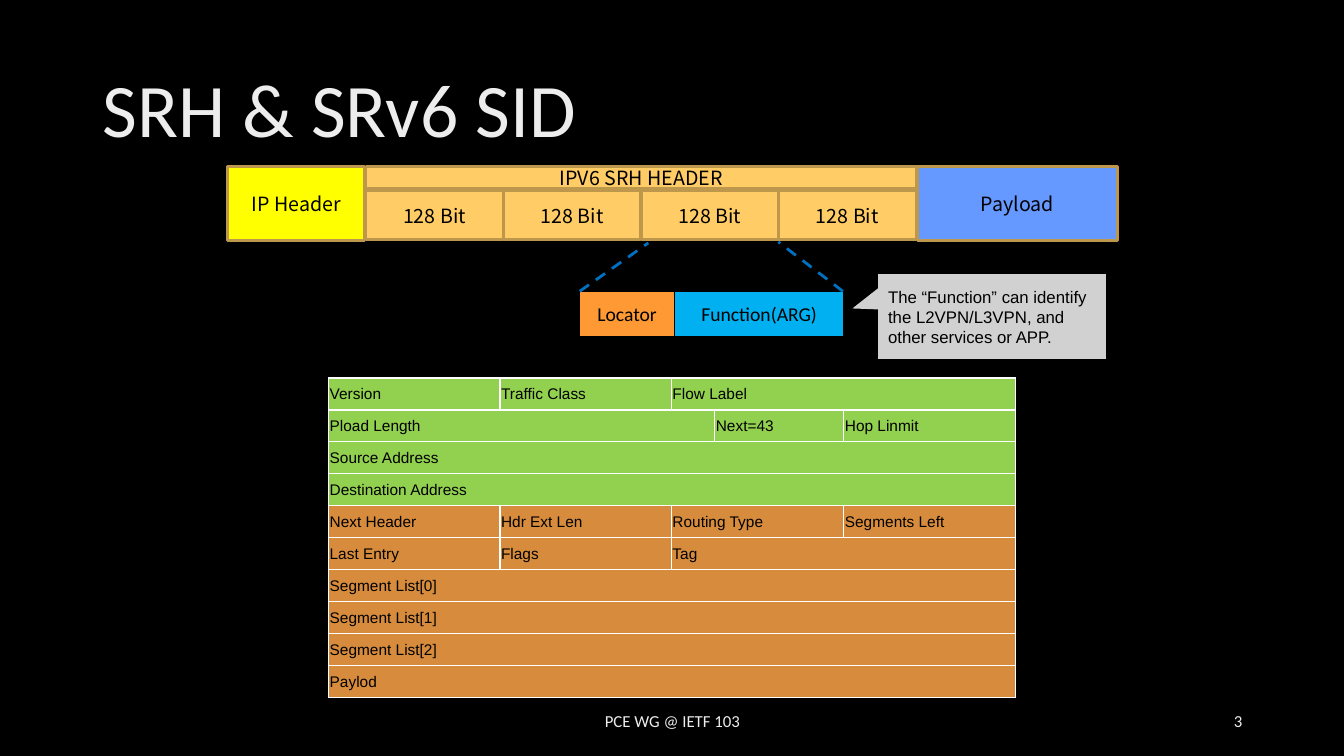
from lxml import etree
from pptx import Presentation
from pptx import util as u
from pptx.dml.color import RGBColor
from pptx.enum import dml, shapes, text
from pptx.oxml import ns

HUES = {
    "black": "000000", "white": "FFFFFF", "pale": "EDEDED", "grey": "D1D1D1",
    "sand": "FFCC66", "edge": "BD974B", "yellow": "FFFF00", "blue": "6699FF",
    "orange": "FF9933", "sky": "00B0F0", "dash": "0070C0",
    "green": "92D050", "rust": "D78B3D",
}
CJK = "Noto Sans CJK SC"
LEFT, MID, RIGHT = text.PP_ALIGN.LEFT, text.PP_ALIGN.CENTER, text.PP_ALIGN.RIGHT
COLS = [1.7, 1.7, 0.43, 1.28, 1.7]
# Each row: fill, then (words, columns spanned).
ROWS = [
    ("green", ("Version", 1), ("Traffic Class", 1), ("Flow Label", 3)),
    ("green", ("Pload Length", 3), ("Next=43", 1), ("Hop Linmit", 1)),
    ("green", ("Source Address", 5)),
    ("green", ("Destination Address", 5)),
    ("rust", ("Next Header", 1), ("Hdr Ext Len", 1), ("Routing Type", 2), ("Segments Left", 1)),
    ("rust", ("Last Entry", 1), ("Flags", 1), ("Tag", 3)),
    *[("rust", (f"Segment List[{n}]", 5)) for n in range(3)],
    ("rust", ("Paylod", 5)),
]


def hue(name):
    return RGBColor.from_string(HUES[name])


def paint(fill, name):
    fill.solid()
    fill.fore_color.rgb = hue(name)


def write(frame, words, size, face, tint="black", align=LEFT):
    frame.word_wrap = True
    frame.vertical_anchor = text.MSO_ANCHOR.MIDDLE
    para = frame.paragraphs[0]
    para.alignment = align
    run = para.add_run()
    run.text = words
    for key, value in {"size": u.Pt(size), "name": face}.items():
        setattr(run.font, key, value)
    run.font.color.rgb = hue(tint)
    return para


def label(slide, box, words, size, align):
    area = slide.shapes.add_textbox(*map(u.Inches, box))
    return write(area.text_frame, words, size, "Calibri", "pale", align)


def block(slide, box, words, fill, face=CJK, edge="edge", width=2):
    rect = slide.shapes.add_shape(shapes.MSO_SHAPE.RECTANGLE, *map(u.Inches, box))
    rect.shadow.inherit = False
    paint(rect.fill, fill)
    rect.line.color.rgb = hue(edge)
    rect.line.width = u.Pt(width)
    write(rect.text_frame, words, 14, face, align=MID)


def dash(slide, ends):
    line = slide.shapes.add_connector(shapes.MSO_CONNECTOR.STRAIGHT, *map(u.Inches, ends))
    line.line.color.rgb = hue("dash")
    line.line.width = u.Pt(2)
    line.line.dash_style = dml.MSO_LINE.DASH
    etree.SubElement(line._element.spPr, ns.qn("a:effectLst"))


def callout(slide, box, words):
    note = slide.shapes.add_shape(shapes.MSO_SHAPE.RECTANGULAR_CALLOUT, *map(u.Inches, box))
    note.shadow.inherit = False
    note.adjustments[0], note.adjustments[1] = -0.613, -0.095
    paint(note.fill, "grey")
    note.line.fill.background()
    write(note.text_frame, words, 12, "Arial")


def border(cell):
    """Draw thin white lines on all four sides of a cell."""
    props = cell._tc.get_or_add_tcPr()
    for spot, side in enumerate(("a:lnL", "a:lnR", "a:lnT", "a:lnB")):
        line = etree.Element(ns.qn(side), w=str(u.Pt(1)))
        fill = etree.SubElement(line, ns.qn("a:solidFill"))
        etree.SubElement(fill, ns.qn("a:srgbClr"), val=HUES["white"])
        props.insert(spot, line)


def packet(slide, box):
    """Build the table of header fields."""
    grid = slide.shapes.add_table(len(ROWS), len(COLS), *map(u.Inches, box)).table
    for key in ("first_row", "horz_banding"):
        setattr(grid, key, False)
    for col, wide in zip(grid.columns, COLS):
        col.width = u.Inches(wide)
    pads = {"margin_left": 0.01, "margin_right": 0.01, "margin_top": 0.01, "margin_bottom": 0}
    for r, (fill, *fields) in enumerate(ROWS):
        for cell in grid.rows[r].cells:
            paint(cell.fill, fill)
            border(cell)
            for key, value in pads.items():
                setattr(cell, key, u.Inches(value))
        c = 0
        for words, span in fields:
            cell = grid.cell(r, c)
            if span > 1:
                cell.merge(grid.cell(r, c + span - 1))
            write(cell.text_frame, words, 11, "Arial")
            cell.vertical_anchor = text.MSO_ANCHOR.MIDDLE
            c += span


def main():
    deck = Presentation()
    deck.slide_width, deck.slide_height = u.Inches(13.33), u.Inches(7.5)
    slide = deck.slides.add_slide(deck.slide_layouts[6])
    paint(slide.background.fill, "black")

    title = label(slide, (0.92, 0.4, 11.5, 1.45), "SRH & SRv6 SID", 54, LEFT)
    title.line_spacing = 0.9
    label(slide, (4.42, 6.95, 4.5, 0.4), "PCE WG @ IETF 103", 12, MID)
    label(slide, (9.42, 6.95, 3, 0.4), "3", 12, RIGHT)

    left, wide = 3.63, 5.46
    for n in range(4):
        block(slide, (left + n * wide / 4, 1.89, 1.36, 0.49), "128 Bit", "sand")
    block(slide, (9.1, 1.65, 1.98, 0.74), "Payload", "blue")
    block(slide, (2.26, 1.65, 1.36, 0.74), "IP Header", "yellow")
    block(slide, (left, 1.65, wide, 0.22), "IPV6 SRH HEADER", "sand")

    for x, size, words, fill in ((5.75, 0.94, "Locator", "orange"),
                                 (6.69, 1.68, "Function(ARG)", "sky")):
        block(slide, (x, 2.89, size, 0.45), words, fill, "Calibri", "black", 0.75)
    dash(slide, (5.75, 2.89, 6.43, 2.41))
    dash(slide, (8.36, 2.89, 7.72, 2.4))
    callout(slide, (8.71, 2.72, 2.26, 0.84),
            "The “Function” can identify the L2VPN/L3VPN, and other services or APP.")
    packet(slide, (3.26, 3.75, 6.82, 3.17))
    deck.save("out.pptx")


if __name__ == "__main__":
    main()
